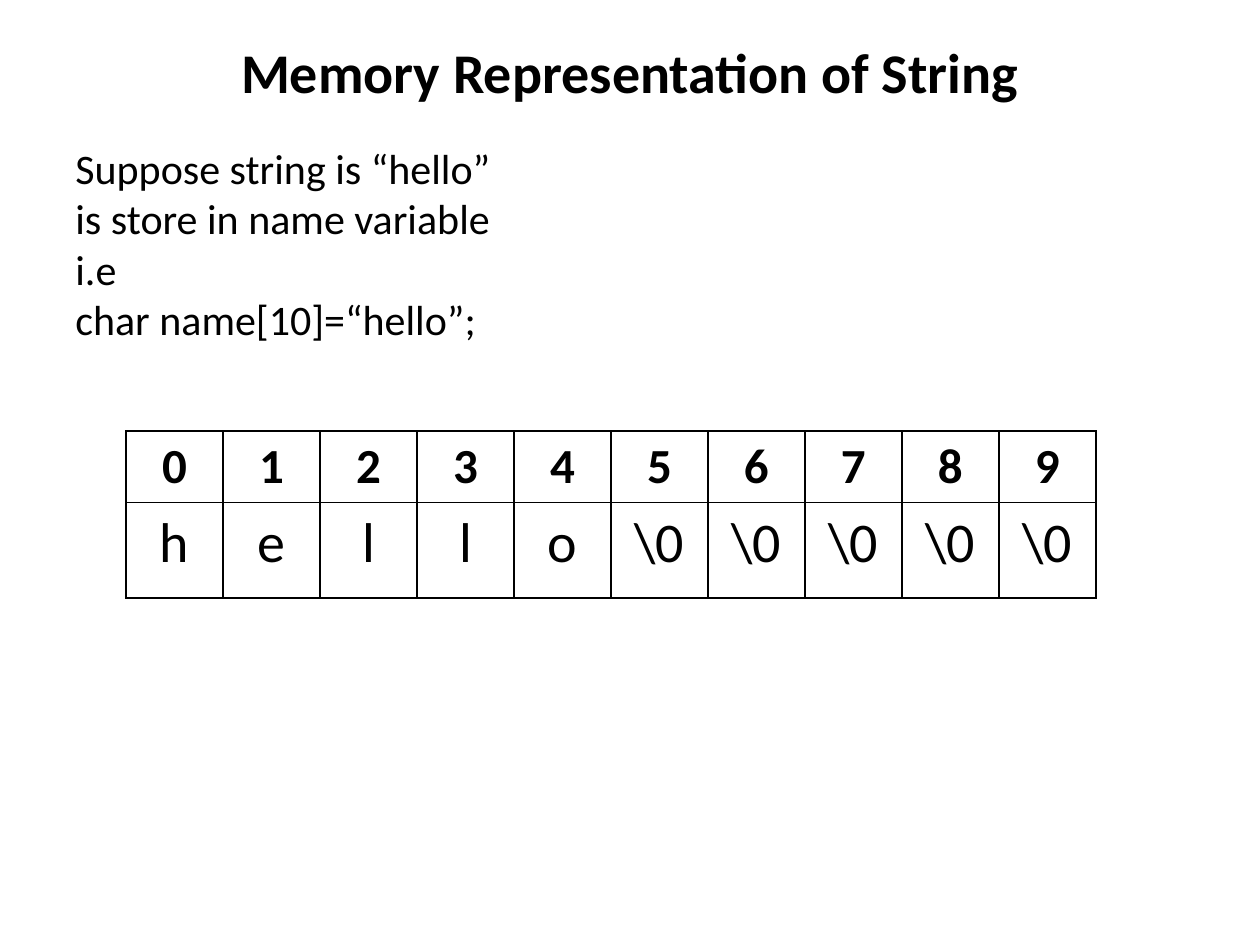
from lxml import etree
from pptx import Presentation
from pptx.dml.color import RGBColor
from pptx.enum import text
from pptx.oxml import ns
from pptx.util import Inches, Pt

COLORS = {"ink": "000000", "paper": "FFFFFF"}
FONT = "Calibri"
BODY_LINES = [
    "Suppose string is “hello”",
    "is store in name variable",
    "i.e",
    "char name[10]=“hello”;",
]
WORD = "hello"
ARRAY_SIZE = 10
CELL_WIDTH = 0.77
ROW_HEIGHTS = (0.56, 0.76)


def add_span(para, words, size, bold=False):
    span = para.add_run()
    span.text = words
    span.font.name = FONT
    span.font.size = Pt(size)
    span.font.bold = bold
    span.font.color.rgb = RGBColor.from_string(COLORS["ink"])


def add_text(page, left, top, width, height, lines, size, bold=False,
             align=text.PP_ALIGN.LEFT, anchor=text.MSO_ANCHOR.TOP):
    box = page.shapes.add_textbox(Inches(left), Inches(top), Inches(width), Inches(height))
    frame = box.text_frame
    frame.word_wrap = True
    frame.vertical_anchor = anchor
    for index, line in enumerate(lines):
        para = frame.add_paragraph() if index else frame.paragraphs[0]
        para.alignment = align
        add_span(para, line, size, bold)


def set_borders(cell, width=1):
    properties = cell._tc.get_or_add_tcPr()
    for position, side in enumerate(("lnL", "lnR", "lnT", "lnB")):
        line = etree.Element(ns.qn(f"a:{side}"), w=str(Pt(width)))
        fill = etree.SubElement(line, ns.qn("a:solidFill"))
        etree.SubElement(fill, ns.qn("a:srgbClr"), val=COLORS["ink"])
        properties.insert(position, line)


def fill_cell(cell, words, size, bold):
    cell.fill.solid()
    cell.fill.fore_color.rgb = RGBColor.from_string(COLORS["paper"])
    para = cell.text_frame.paragraphs[0]
    para.alignment = text.PP_ALIGN.CENTER
    add_span(para, words, size, bold)
    set_borders(cell)


def add_memory_table(page, left, top):
    indexes = [str(index) for index in range(ARRAY_SIZE)]
    characters = list(WORD) + ["\\0"] * (ARRAY_SIZE - len(WORD))
    table = page.shapes.add_table(
        2, ARRAY_SIZE, Inches(left), Inches(top),
        Inches(CELL_WIDTH * ARRAY_SIZE), Inches(sum(ROW_HEIGHTS))).table
    for column in table.columns:
        column.width = Inches(CELL_WIDTH)
    for row, height in zip(table.rows, ROW_HEIGHTS):
        row.height = Inches(height)
    for row, values, size, bold in ((0, indexes, 28, True), (1, characters, 32, False)):
        for column, value in enumerate(values):
            fill_cell(table.cell(row, column), value, size, bold)


def main():
    deck = Presentation()
    deck.slide_width, deck.slide_height = Inches(10), Inches(7.5)
    page = deck.slides.add_slide(deck.slide_layouts[6])

    # Title
    add_text(page, 0.5, 0.3, 9, 0.53, ["Memory Representation of String"], 32, True,
             text.PP_ALIGN.CENTER, text.MSO_ANCHOR.MIDDLE)
    # Declaration of the string
    add_text(page, 0.5, 1.08, 9, 5.62, BODY_LINES, 24)
    # Array positions and the characters stored there
    add_memory_table(page, 1, 3.42)

    deck.save("out.pptx")


if __name__ == "__main__":
    main()
